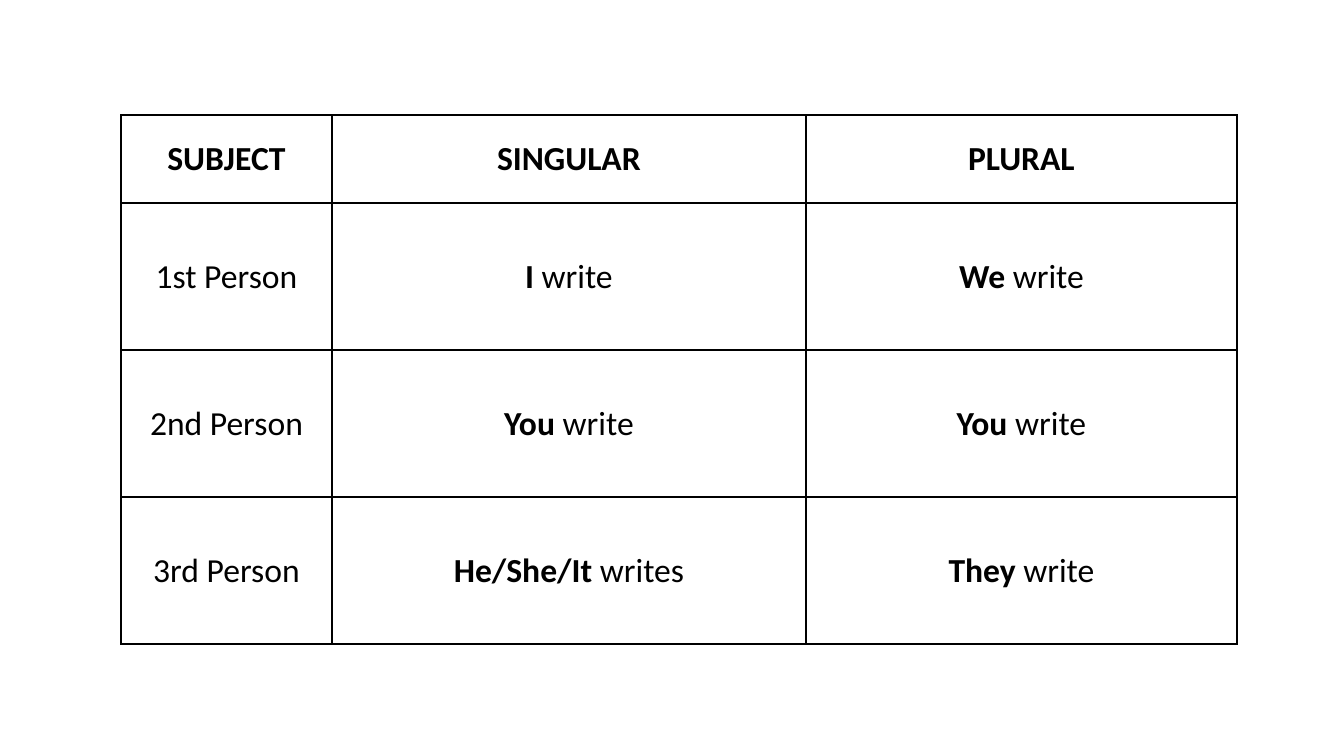
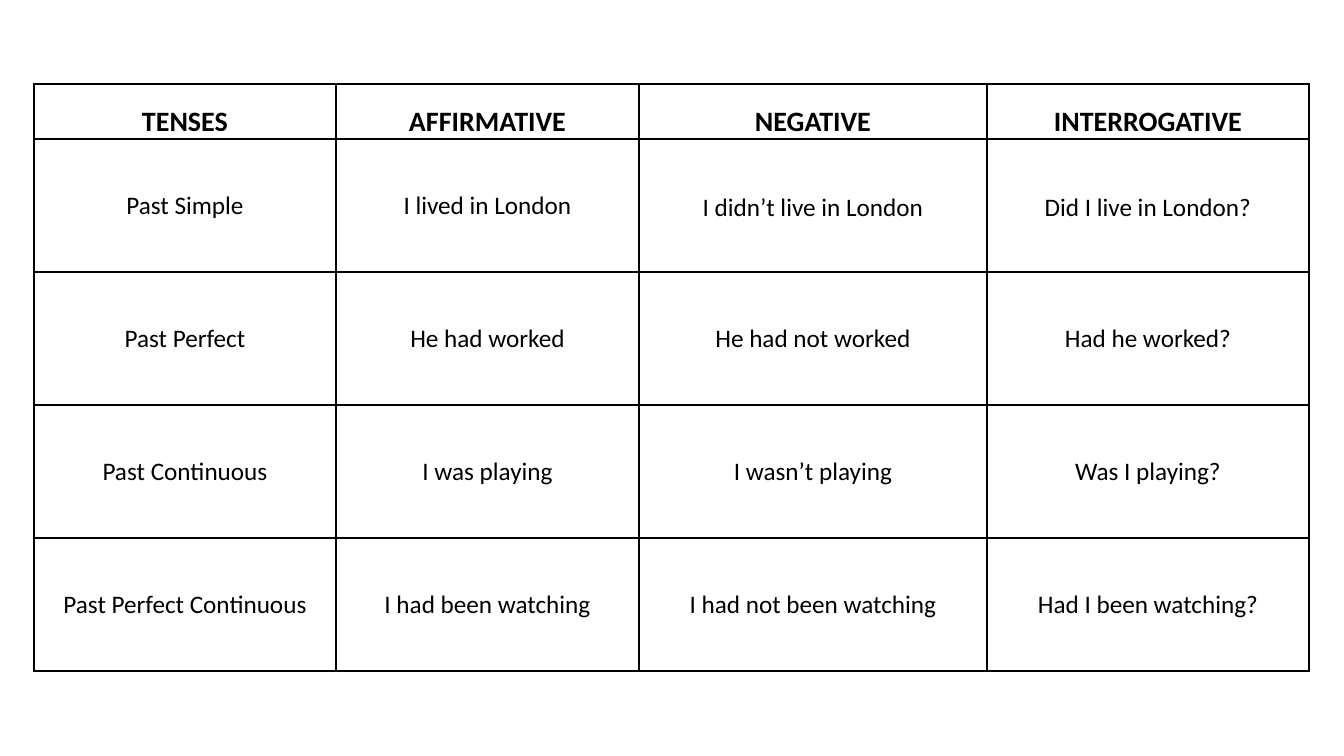
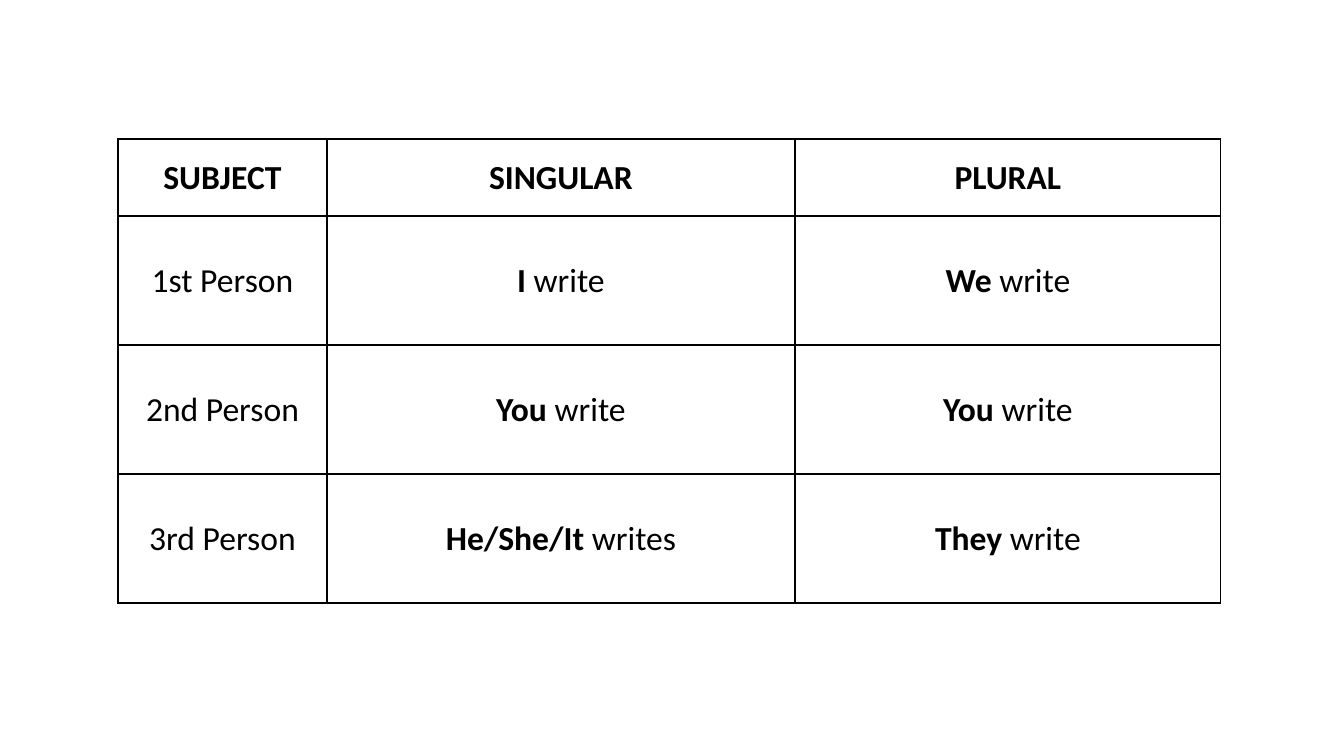
import dataclasses
import lxml.etree
import pptx
import pptx.dml.color
import pptx.enum.text
import pptx.oxml.ns
import pptx.util


@dataclasses.dataclass(frozen=True)
class Theme:
    ink: str = "000000"
    face: str = "Calibri"
    large: int = 24
    head: int = 20
    body: int = 18
    rule: int = 1
    wide: int = 1344
    high: int = 756
    scale: float = 12192000 / 1344
    tight: tuple = (1, 1, 1, 0)
    loose: tuple = (16, 7, 16, 7)
    lead: float = 1.15


class Deck:
    def __init__(self, theme):
        self.theme = theme
        self.show = pptx.Presentation()
        self.show.slide_width = self.px(theme.wide)
        self.show.slide_height = self.px(theme.high)
        self.slide = None

    def px(self, count):
        return pptx.util.Emu(round(count * self.theme.scale))

    def page(self):
        self.slide = self.show.slides.add_slide(self.show.slide_layouts[6])

    def border(self, cell):
        props = cell._tc.get_or_add_tcPr()
        for side in ("lnL", "lnR", "lnT", "lnB"):
            line = lxml.etree.SubElement(props, pptx.oxml.ns.qn("a:" + side))
            line.set("w", str(pptx.util.Pt(self.theme.rule)))
            fill = lxml.etree.SubElement(line, pptx.oxml.ns.qn("a:solidFill"))
            tint = lxml.etree.SubElement(fill, pptx.oxml.ns.qn("a:srgbClr"))
            tint.set("val", self.theme.ink)

    def pad(self, cell, sides):
        (cell.margin_left, cell.margin_top,
         cell.margin_right, cell.margin_bottom) = map(self.px, sides)

    def label(self, cell, text, size, bold):
        para = cell.text_frame.paragraphs[0]
        para.alignment = pptx.enum.text.PP_ALIGN.CENTER
        para.font.name = self.theme.face
        para.font.size = pptx.util.Pt(size)
        para.font.bold = bold
        para.font.color.rgb = pptx.dml.color.RGBColor.from_string(self.theme.ink)
        if isinstance(text, str):
            para.add_run().text = text
            return
        strong, plain = text
        run = para.add_run()
        run.text = strong
        run.font.bold = True
        para.add_run().text = plain

    def table(self, left, top, cols, rows, data, head, body, anchor):
        frame = self.slide.shapes.add_table(
            len(rows), len(cols), self.px(left), self.px(top),
            self.px(sum(cols)), self.px(sum(rows)))
        grid = frame.table
        grid.first_row = False
        grid.horz_banding = False
        for col, width in zip(grid.columns, cols):
            col.width = self.px(width)
        for row, height in zip(grid.rows, rows):
            row.height = self.px(height)
        middle = pptx.enum.text.MSO_ANCHOR.MIDDLE
        for r, texts in enumerate(data):
            for c, text in enumerate(texts):
                cell = grid.cell(r, c)
                self.border(cell)
                cell.fill.background()
                self.pad(cell, self.theme.tight)
                cell.vertical_anchor = middle if r else anchor
                self.label(cell, text, body if r else head, r == 0)
        return grid

    def loosen(self, cell):
        self.pad(cell, self.theme.loose)
        cell.text_frame.paragraphs[0].line_spacing = self.theme.lead


PERSONS = [
    ("SUBJECT", "SINGULAR", "PLURAL"),
    ("1st Person", ("I", " write"), ("We", " write")),
    ("2nd Person", ("You ", "write"), ("You", " write")),
    ("3rd Person", ("He/She/It ", "writes"), ("They", " write")),
]

TENSES = [
    ("TENSES", "AFFIRMATIVE", "NEGATIVE", "INTERROGATIVE"),
    ("Past Simple", "I lived in London", "I didn’t live in London",
     "Did I live in London?"),
    ("Past Perfect", "He had worked", "He had not worked", "Had he worked?"),
    ("Past Continuous", "I was playing", "I wasn’t playing", "Was I playing?"),
    ("Past Perfect Continuous", "I had been watching",
     "I had not been watching", "Had I been watching?"),
]


def persons(deck, left, top, cols, first, rest):
    deck.page()
    size = deck.theme.large
    deck.table(left, top, cols, [first] + [rest] * 3, PERSONS, size, size,
               pptx.enum.text.MSO_ANCHOR.MIDDLE)


def tenses(deck):
    deck.page()
    grid = deck.table(34, 84, [302, 303, 348, 322], [55] + [133] * 4, TENSES,
                      deck.theme.head, deck.theme.body,
                      pptx.enum.text.MSO_ANCHOR.BOTTOM)
    for col in (2, 3):
        deck.loosen(grid.cell(1, col))


def main():
    deck = Deck(Theme())
    persons(deck, 121, 115, [211, 474, 431], 88, 147)
    tenses(deck)
    persons(deck, 118, 139, [209, 468, 426], 77, 129)
    deck.show.save("out.pptx")


if __name__ == "__main__":
    main()
